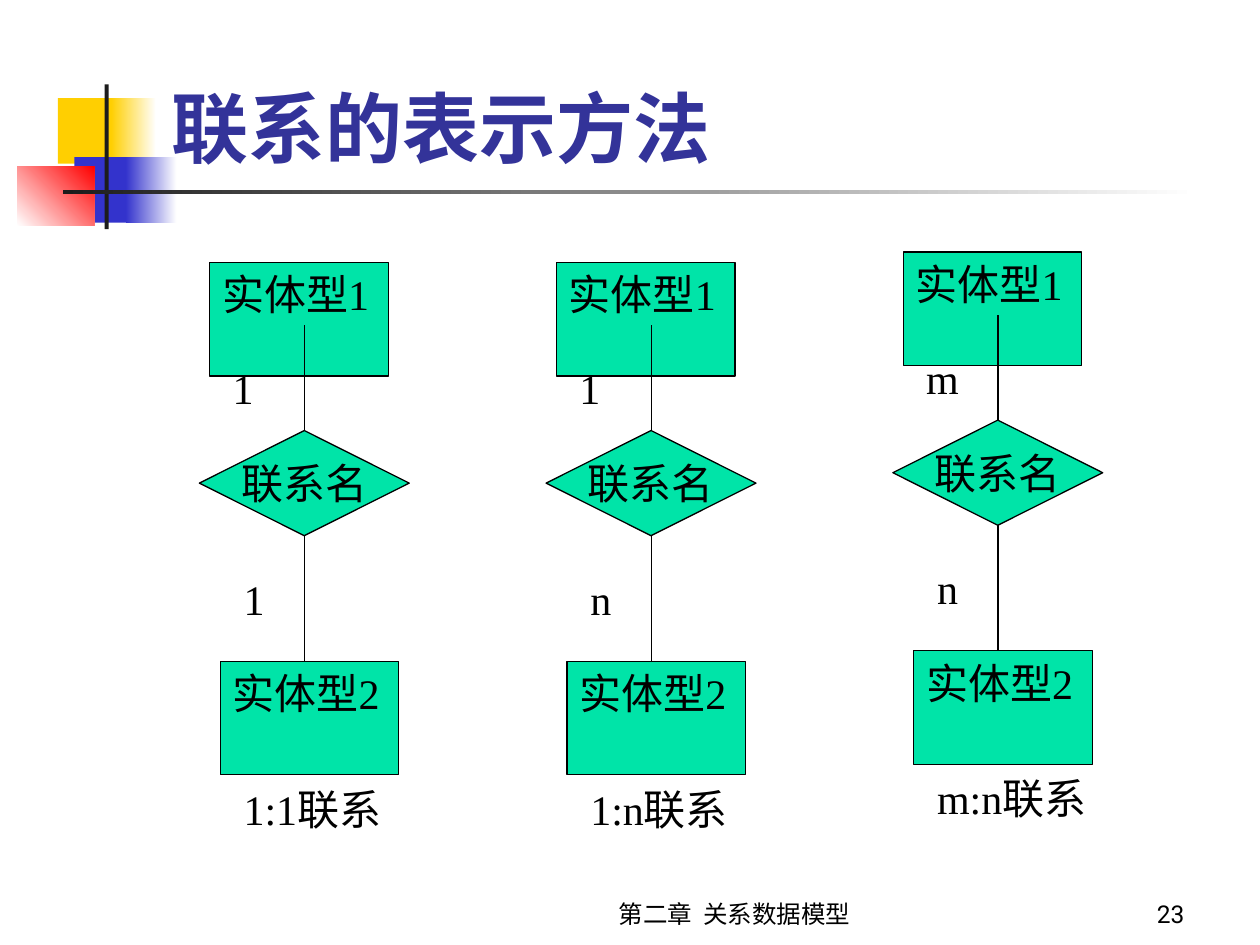
from dataclasses import dataclass

from lxml import etree
from pptx import Presentation
from pptx.dml.color import RGBColor
from pptx.enum.shapes import MSO_CONNECTOR, MSO_SHAPE
from pptx.enum.text import MSO_ANCHOR, MSO_AUTO_SIZE, PP_ALIGN
from pptx.oxml.ns import qn
from pptx.util import Cm, Pt

RECTANGLE = MSO_SHAPE.RECTANGLE
DIAMOND = MSO_SHAPE.DIAMOND
STRAIGHT = MSO_CONNECTOR.STRAIGHT
TOP, MIDDLE, BOTTOM = MSO_ANCHOR.TOP, MSO_ANCHOR.MIDDLE, MSO_ANCHOR.BOTTOM
LEFT, CENTER, RIGHT = PP_ALIGN.LEFT, PP_ALIGN.CENTER, PP_ALIGN.RIGHT
GROW = MSO_AUTO_SIZE.SHAPE_TO_FIT_TEXT
FIXED = MSO_AUTO_SIZE.NONE

BLACK = "000000"
GREEN = "00E4A8"
SERIF = "Times New Roman"
SANS = "Roboto"


@dataclass(frozen=True)
class Area:
    left: float
    top: float
    width: float
    height: float

    def moved(self, x: float, y: float) -> "Area":
        return Area(self.left + x, self.top + y, self.width, self.height)

    def lengths(self) -> list:
        return [Cm(value) for value in (self.left, self.top, self.width, self.height)]


@dataclass(frozen=True)
class Ornament:
    area: Area
    colors: tuple
    angle: int = 0


@dataclass(frozen=True)
class TextStyle:
    size: int = 24
    font: str = SERIF
    color: str = BLACK
    bold: bool = False
    align: PP_ALIGN = LEFT
    anchor: MSO_ANCHOR = TOP
    wrap: bool = True
    fit: MSO_AUTO_SIZE = GROW


@dataclass(frozen=True)
class Relation:
    left: float
    top: float
    upper: str
    lower: str


ORNAMENTS = [
    Ornament(Area(1.17, 1.98, 1.22, 1.32), ("FFCF01",)),
    Ornament(Area(2.24, 1.98, 0.91, 1.32), ("FFCF01", "FFFFFF")),
    Ornament(Area(1.5, 3.17, 1.17, 1.32), ("3333CC",)),
    Ornament(Area(2.54, 3.17, 1.02, 1.32), ("3333CC", "FFFFFF")),
    Ornament(Area(0.35, 3.35, 1.55, 1.2), ("FFFFFF", "FF0000"), 45),
    Ornament(Area(2.11, 1.7, 0.08, 2.92), ("1C1C1C",)),
    Ornament(Area(1.27, 3.84, 22.86, 0.08), ("1C1C1C", "FFFFFF")),
]

TITLE = TextStyle(44, color="333399", bold=True, anchor=BOTTOM, fit=FIXED)
FOOTER = TextStyle(14, SANS, align=CENTER, anchor=BOTTOM, fit=FIXED)
NUMBER = TextStyle(14, SANS, align=RIGHT, anchor=BOTTOM, fit=FIXED)
BODY = TextStyle()
DIAMOND_TEXT = TextStyle(align=CENTER, anchor=MIDDLE, wrap=False, fit=FIXED)

FIRST_LEFT, STEP = 4.02, 6.99
RELATIONS = [
    Relation(FIRST_LEFT, 5.29, "1", "1"),
    Relation(FIRST_LEFT + STEP, 5.29, "1", "n"),
    Relation(FIRST_LEFT + 2 * STEP, 5.08, "m", "n"),
]
NODES = [
    (RECTANGLE, Area(0.21, 0, 3.6, 2.29), "实体型1", BODY),
    (DIAMOND, Area(0, 3.39, 4.23, 2.12), "联系名", DIAMOND_TEXT),
    (RECTANGLE, Area(0.42, 8.04, 3.6, 2.29), "实体型2", BODY),
]
LINK_X = 2.12
LINKS = [(3.39, 1.27), (5.51, 8.04)]
UPPER_LABEL = Area(0.42, 1.9, 1.06, 1.27)
LOWER_LABEL = Area(0.64, 6.14, 1.06, 1.27)
CAPTION = Area(0.64, 10.37, 3.81, 1.27)


def rgb(value: str) -> RGBColor:
    return RGBColor.from_string(value)


def apply(target, values: dict) -> None:
    for name, value in values.items():
        setattr(target, name, value)


def write(box, text: str, style: TextStyle) -> None:
    frame = box.text_frame
    apply(frame, {
        "word_wrap": style.wrap,
        "auto_size": style.fit,
        "vertical_anchor": style.anchor,
    })
    para = frame.paragraphs[0]
    para.alignment = style.align
    span = para.add_run()
    span.text = text
    apply(span.font, {"size": Pt(style.size), "name": style.font, "bold": style.bold})
    span.font.color.rgb = rgb(style.color)


def add_text(page, area: Area, text: str, style: TextStyle) -> None:
    write(page.shapes.add_textbox(*area.lengths()), text, style)


def add_ornament(page, ornament: Ornament) -> None:
    shape = page.shapes.add_shape(RECTANGLE, *ornament.area.lengths())
    shape.shadow.inherit = False
    shape.line.fill.background()
    if len(ornament.colors) == 1:
        shape.fill.solid()
        shape.fill.fore_color.rgb = rgb(ornament.colors[0])
        return
    shape.fill.gradient()
    shape.fill.gradient_angle = ornament.angle
    for stop, color in zip(shape.fill.gradient_stops, ornament.colors):
        stop.color.rgb = rgb(color)


def add_node(page, kind: MSO_SHAPE, area: Area, text: str, style: TextStyle) -> None:
    shape = page.shapes.add_shape(kind, *area.lengths())
    shape.shadow.inherit = False
    shape.fill.solid()
    shape.fill.fore_color.rgb = rgb(GREEN)
    shape.line.color.rgb = rgb(BLACK)
    shape.line.width = Pt(0.75)
    write(shape, text, style)


def add_link(page, x: float, start: float, end: float) -> None:
    link = page.shapes.add_connector(STRAIGHT, Cm(x), Cm(start), Cm(x), Cm(end))
    link.line.color.rgb = rgb(BLACK)
    link.line.width = Pt(0.75)
    etree.SubElement(link._element.spPr, qn("a:effectLst"))


def add_relation(page, relation: Relation) -> None:
    x, y = relation.left, relation.top
    for kind, area, text, style in NODES:
        add_node(page, kind, area.moved(x, y), text, style)
    for start, end in LINKS:
        add_link(page, x + LINK_X, y + start, y + end)
    labels = [
        (UPPER_LABEL, relation.upper),
        (LOWER_LABEL, relation.lower),
        (CAPTION, f"{relation.upper}:{relation.lower}联系"),
    ]
    for area, text in labels:
        add_text(page, area.moved(x, y), text, BODY)


def main() -> None:
    deck = Presentation()
    apply(deck, {"slide_width": Cm(25.4), "slide_height": Cm(19.05)})
    page = deck.slides.add_slide(deck.slide_layouts[6])
    for ornament in ORNAMENTS:
        add_ornament(page, ornament)
    add_text(page, Area(9.73, 17.58, 10.16, 1.27), "第二章  关系数据模型", FOOTER)
    add_text(page, Area(20.96, 17.58, 3.17, 1.27), "23", NUMBER)
    add_text(page, Area(3.2, 1.07, 21.64, 2.54), "联系的表示方法", TITLE)
    for relation in RELATIONS:
        add_relation(page, relation)
    deck.save("out.pptx")


if __name__ == "__main__":
    main()
